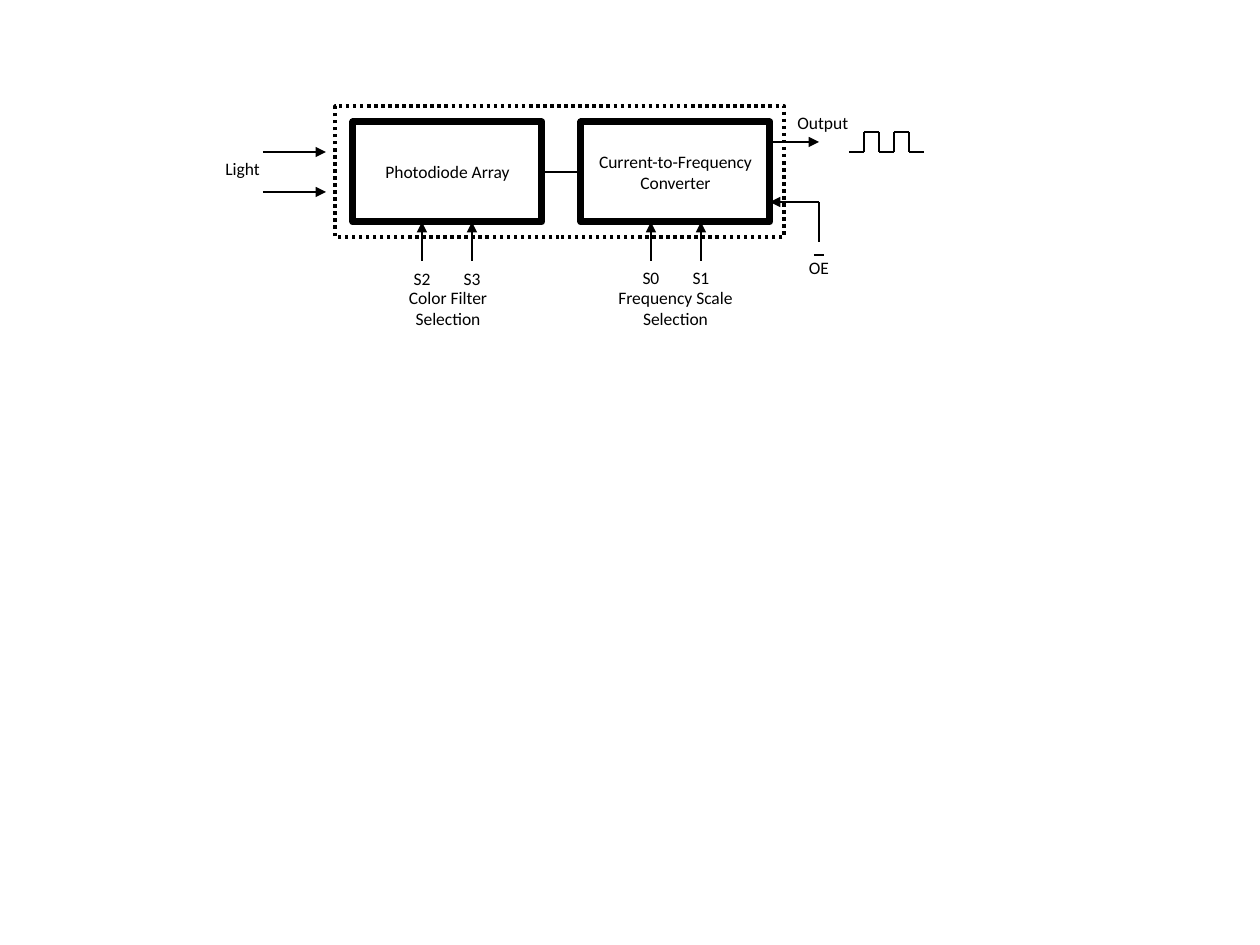
from dataclasses import dataclass
from itertools import pairwise

from lxml.etree import SubElement
from pptx import Presentation
from pptx.dml.color import RGBColor
from pptx.enum.dml import MSO_LINE
from pptx.enum.shapes import MSO_CONNECTOR as CXN, MSO_SHAPE as SHAPE
from pptx.enum.text import MSO_ANCHOR as ANCHOR, MSO_AUTO_SIZE as FIT, PP_ALIGN as ALIGN
from pptx.oxml.ns import qn
from pptx.util import Emu, Inches, Pt

LEFT, RIGHT = 1, 3


@dataclass(frozen=True)
class Theme:
    ink: RGBColor = RGBColor(0, 0, 0)
    font: str = "Calibri"
    size: int = 10
    thin: float = 1
    medium: float = 1.5
    dotted: float = 2
    thick: float = 4


def px(n):
    return Emu(round(n * 914400 / 126))


class Diagram:
    def __init__(self, slide, theme):
        self.theme = theme
        self.shapes = slide.shapes.add_group_shape().shapes

    def add_text(self, tf, text, align):
        tf.word_wrap = True
        p = tf.paragraphs[0]
        p.alignment = align
        r = p.add_run()
        r.text = text
        r.font.name = self.theme.font
        r.font.size = Pt(self.theme.size)
        r.font.color.rgb = self.theme.ink

    def stroke(self, line, width):
        line.color.rgb = self.theme.ink
        line.width = Pt(width)

    def box(self, x, y, w, h, width, text=None, dash=None):
        sp = self.shapes.add_shape(SHAPE.RECTANGLE, px(x), px(y), px(w), px(h))
        sp.shadow.inherit = False
        sp.fill.background()
        self.stroke(sp.line, width)
        if dash:
            sp.line.dash_style = dash
        if text:
            sp.text_frame.vertical_anchor = ANCHOR.MIDDLE
            self.add_text(sp.text_frame, text, ALIGN.CENTER)
        return sp

    def label(self, x, y, w, h, text, align=ALIGN.CENTER):
        sp = self.shapes.add_textbox(px(x), px(y), px(w), px(h))
        self.add_text(sp.text_frame, text, align)
        sp.text_frame.auto_size = FIT.SHAPE_TO_FIT_TEXT

    def line(self, x1, y1, x2, y2, width=None, arrow=False):
        cxn = self.shapes.add_connector(CXN.STRAIGHT, px(x1), px(y1), px(x2), px(y2))
        self.stroke(cxn.line, width or self.theme.thin)
        sp_pr = cxn._element.spPr
        if arrow:
            SubElement(sp_pr.get_or_add_ln(), qn("a:tailEnd"), type="triangle")
        SubElement(sp_pr, qn("a:effectLst"))
        return cxn


def main():
    prs = Presentation()
    prs.slide_width, prs.slide_height = Inches(10), Inches(7.5)
    theme = Theme()
    d = Diagram(prs.slides.add_slide(prs.slide_layouts[6]), theme)

    top, box_w, box_h = 122, 189, 100
    array_x, converter_x = 353, 581
    bottom, middle = top + box_h, top + box_h // 2
    array_right, converter_right = array_x + box_w, converter_x + box_w

    array = d.box(array_x, top, box_w, box_h, theme.thick, "Photodiode Array")
    converter = d.box(converter_x, top, box_w, box_h, theme.thick,
                      "Current-to-Frequency Converter")
    d.box(335, 106, 449, 131, theme.dotted, dash=MSO_LINE.ROUND_DOT)
    link = d.line(array_right, middle, converter_x, middle)
    link.begin_connect(array, RIGHT)
    link.end_connect(converter, LEFT)

    for y in (152, 192):
        d.line(263, y, 326, y, theme.medium, arrow=True)
    d.label(213, 152, 79, 34, "Light", ALIGN.LEFT)

    d.label(393, 281, 110, 55, "Color Filter Selection")
    d.label(converter_x, 281, box_w, 55, "Frequency Scale Selection")
    for name, x, y in (("S2", 422, 262), ("S3", 472, 262),
                       ("S0", 651, 261), ("S1", 701, 261)):
        d.line(x, 261, x, bottom, arrow=True)
        d.label(x - 25, y, 50, 34, name)

    pin_x = 819
    d.line(converter_right, 142, pin_x, 142, arrow=True)
    d.label(785, 106, 79, 34, "Output", ALIGN.LEFT)
    d.line(pin_x, 202, converter_right, 202, arrow=True)
    d.line(pin_x, 202, pin_x, 242)
    d.label(pin_x - 25, 251, 50, 34, "OE")
    d.line(pin_x - 5, 255, pin_x + 5, 255)

    wave_x, step, low, high = 849, 15, 152, 132
    levels = (low, high, low, high, low)
    for i, y in enumerate(levels):
        d.line(wave_x + i * step, y, wave_x + (i + 1) * step, y)
    for i, (y1, y2) in enumerate(pairwise(levels), 1):
        d.line(wave_x + i * step, y1, wave_x + i * step, y2)

    prs.save("out.pptx")


if __name__ == "__main__":
    main()
